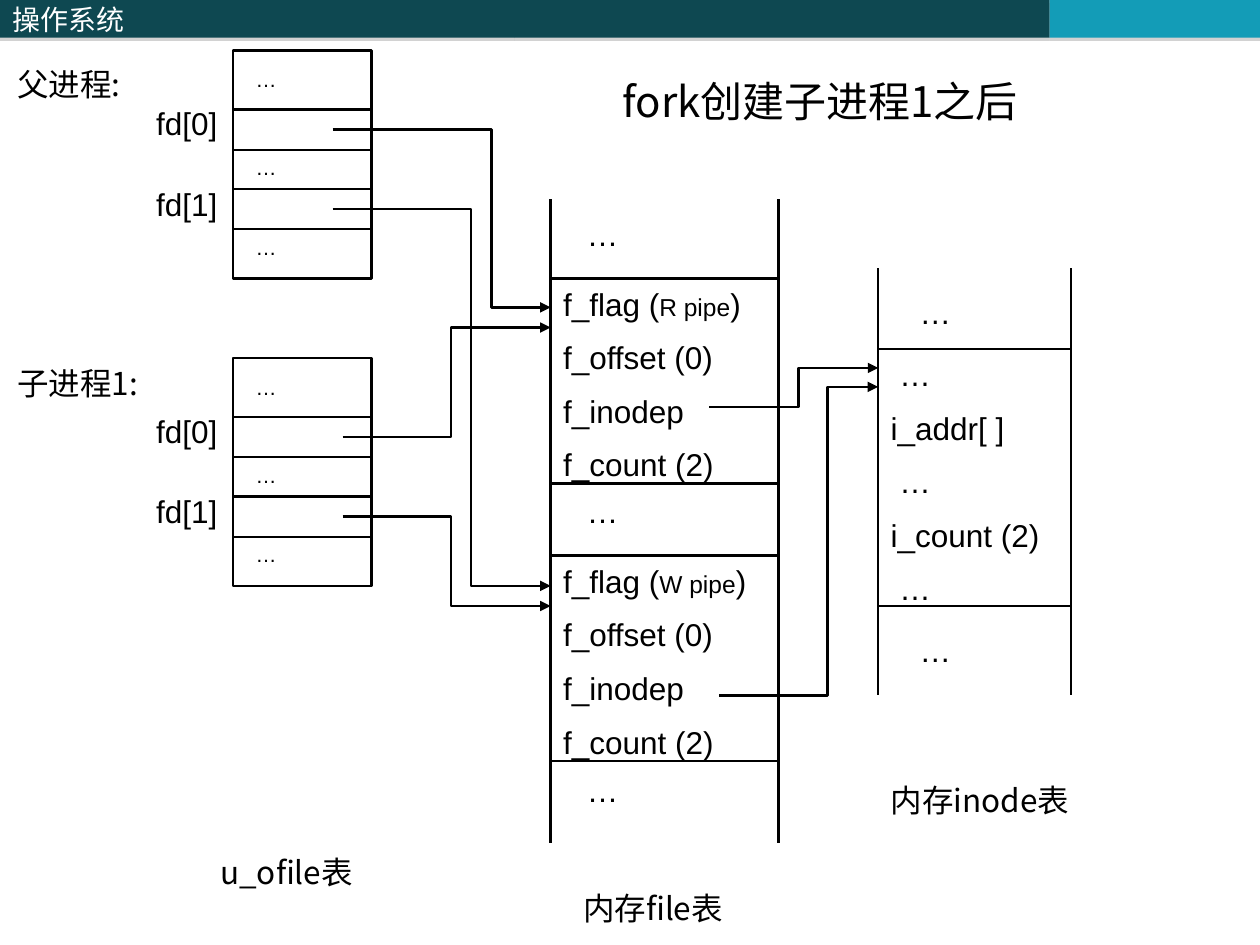
from lxml import etree
from pptx import Presentation
from pptx import util as u
from pptx.dml.color import RGBColor
from pptx.enum import shapes, text
from pptx.oxml import parse_xml
from pptx.oxml.ns import qn

PX = 9144
COLORS = {"ink": "000000", "bar": "0E4851", "accent": "139CB7", "light": "FFFFFF", "shade": "808080"}
LATIN, CJK = "Arial", "Noto Sans CJK SC"
NS = "http://schemas.openxmlformats.org/drawingml/2006/main"

TITLE = ("fork创建子进程1之后", 484, 55, 378, 50)
BARS = [(0, 408, "bar", "操作系统"), (408, 425, "bar", ""), (833, 167, "accent", "")]
CAPTIONS = [
    ("u_ofile表", 165, 672, 142, 70),
    ("内存file表", 453, 701, 181, 40),
    ("内存inode表", 697, 615, 165, 70),
    ("父进程:", 4, 47, 110, 70),
    ("子进程1:", 4, 284, 118, 70),
]
OFILE_TOPS = [40, 284]
OFILE_RULES = [47, 79, 110, 142]
OFILE_DOTS = [8, 78, 141]
FD_LABELS = [("fd[0]", 38), ("fd[1]", 102)]
FILE_ENTRIES = [("R pipe", 221), ("W pipe", 441)]
FILE_FIELDS = ["f_offset (0)", "f_inodep", "f_count (2)"]
FILE_DOTS = [166, 386, 607]
INODE_FIELDS = [" …", "i_addr[ ]", " …", "i_count (2)", " …"]
INODE_DOTS = [228, 496]
TABLE_SIDES = [(437, 158, 669), (618, 158, 669), (697, 213, 552), (850, 213, 552)]
POINTERS = [
    (264, 103, 390, 244, 437),
    (264, 166, 374, 465, 437),
    (272, 347, 358, 260, 437),
    (272, 410, 358, 481, 437),
    (563, 323, 634, 292, 697),
    (571, 552, 657, 307, 697),
]

prs = Presentation()
prs.slide_width, prs.slide_height = 1000 * PX, 750 * PX
slide = prs.slides.add_slide(prs.slide_layouts[5])
canvas = slide.shapes


def rgb(name):
    return RGBColor.from_string(COLORS[name])


def emu(*lengths):
    return [n * PX for n in lengths]


def write(frame, paragraphs, font=LATIN, color="ink", anchor=text.MSO_ANCHOR.TOP, gap=9):
    frame.word_wrap = True
    frame.auto_size = text.MSO_AUTO_SIZE.NONE
    frame.vertical_anchor = anchor
    frame.margin_left = frame.margin_right = 10 * PX
    frame.margin_top = frame.margin_bottom = 5 * PX
    for i, runs in enumerate(paragraphs):
        para = frame.paragraphs[0] if i == 0 else frame.add_paragraph()
        para.alignment = text.PP_ALIGN.LEFT
        if i:
            para.space_before = u.Pt(gap)
        for words, size in runs:
            run = para.add_run()
            run.text = words
            run.font.size = u.Pt(size)
            run.font.name = font
            run.font.color.rgb = rgb(color)
            ea = etree.SubElement(run.font._element, qn("a:ea"))
            ea.set("typeface", font)


def label(words, x, y, w, h, size=18, font=LATIN):
    write(canvas.add_textbox(*emu(x, y, w, h)).text_frame, [[(words, size)]], font)


def box(x, y, w, h):
    rect = canvas.add_shape(shapes.MSO_SHAPE.RECTANGLE, *emu(x, y, w, h))
    rect.shadow.inherit = False
    rect.fill.background()
    rect.line.color.rgb = rgb("ink")
    rect.line.width = u.Pt(1.5)
    return rect


def rule(x1, y1, x2, y2, width):
    line = canvas.add_connector(shapes.MSO_CONNECTOR.STRAIGHT, *emu(x1, y1, x2, y2))
    line.line.color.rgb = rgb("ink")
    line.line.width = u.Pt(width)
    etree.SubElement(line._element.spPr, qn("a:effectLst"))


def pointer(x1, y1, bend, y2, x2):
    builder = canvas.build_freeform(*emu(x1, y1))
    corners = [(bend, y1), (bend, y2), (x2, y2)]
    builder.add_line_segments([emu(*c) for c in corners], close=False)
    arrow = builder.convert_to_shape()
    arrow.shadow.inherit = False
    arrow.fill.background()
    arrow.line.color.rgb = rgb("ink")
    arrow.line.width = u.Pt(1.5)
    etree.SubElement(arrow.line._get_or_add_ln(), qn("a:tailEnd")).set("type", "triangle")


def header_bar(x, w, color, words):
    bar = box(x, 0, w, 30)
    bar.fill.solid()
    bar.fill.fore_color.rgb = rgb(color)
    bar.line.fill.background()
    effects = bar._element.spPr.find(qn("a:effectLst"))
    effects.append(parse_xml(
        f'<a:outerShdw xmlns:a="{NS}" dist="{u.Pt(1.8)}" dir="5400000">'
        f'<a:srgbClr val="{COLORS["shade"]}"><a:alpha val="35000"/></a:srgbClr></a:outerShdw>'))
    if words:
        write(bar.text_frame, [[(words, 16)]], CJK, "light", text.MSO_ANCHOR.MIDDLE)


heading, *place = TITLE
title = canvas.title
title.left, title.top, title.width, title.height = emu(*place)
write(title.text_frame, [[(heading, 24)]], CJK)

for bar in BARS:
    header_bar(*bar)

for top in OFILE_TOPS:
    box(185, top, 110, 181)
    for dy in OFILE_RULES:
        rule(185, top + dy, 295, top + dy, 1.25)
    for dy in OFILE_DOTS:
        label("…", 193, top + dy, 87, 30, 12)
    for words, dy in FD_LABELS:
        label(words, 114, top + dy, 79, 40)

for x, top, bottom in TABLE_SIDES:
    rule(x, top, x, bottom, 1.5)

for pipe, top in FILE_ENTRIES:
    flag = [("f_flag (", 18), (pipe, 14), (")", 18)]
    write(box(437, top, 181, 163).text_frame, [flag] + [[(f, 18)] for f in FILE_FIELDS])
write(box(697, 277, 153, 204).text_frame, [[(f, 18)] for f in INODE_FIELDS])

for y in FILE_DOTS:
    label("…", 456, y, 105, 40)
for y in INODE_DOTS:
    label("…", 720, y, 94, 40)
for words, *place in CAPTIONS:
    label(words, *place, font=CJK)
for route in POINTERS:
    pointer(*route)

prs.save("out.pptx")
